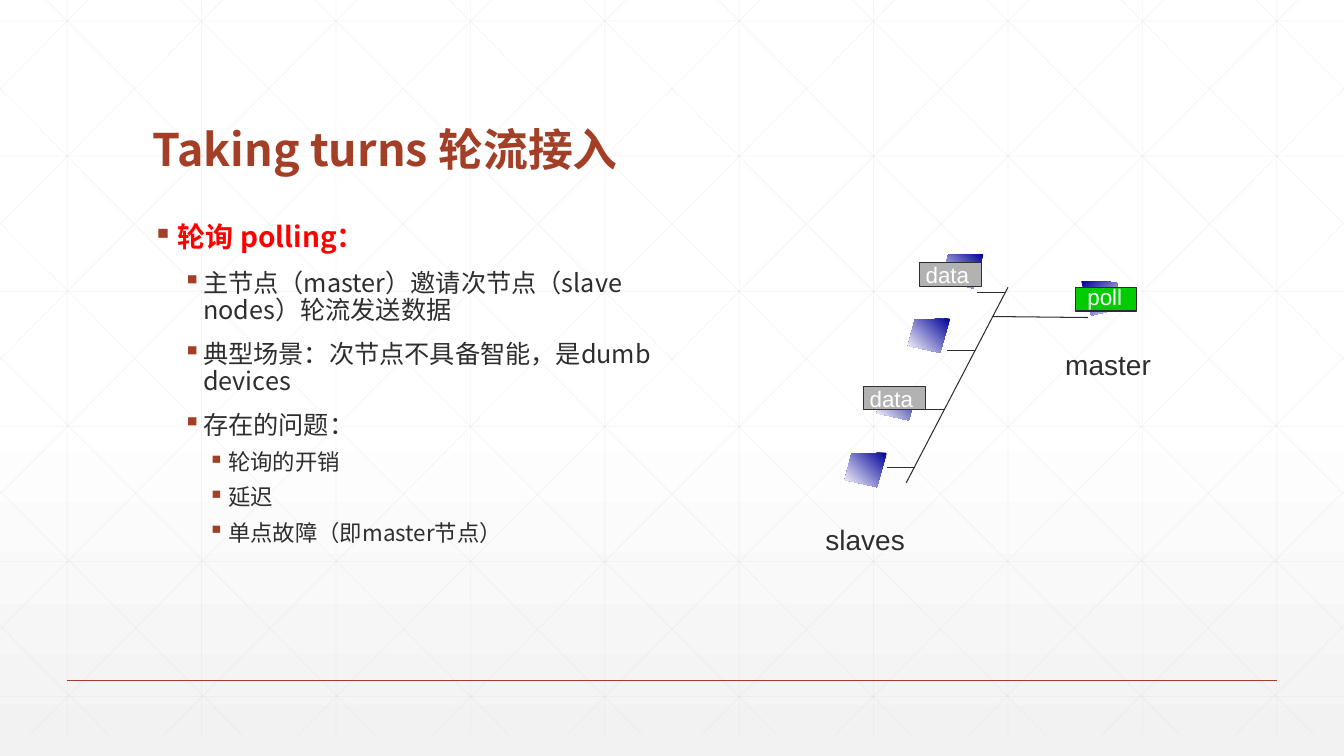
from dataclasses import dataclass

from lxml import etree
from pptx import Presentation
from pptx import util as u
from pptx.dml.color import RGBColor
from pptx.enum import shapes, text
from pptx.oxml import ns


@dataclass(frozen=True)
class Theme:
    accent: str = "A43F27"
    ink: str = "2D2E2D"
    alert: str = "FF0000"
    white: str = "FFFFFF"
    shade: str = "F2F2F2"
    grid: str = "D9D9D9"
    node: str = "000099"
    poll: str = "00CC00"
    data: str = "B2B2B2"
    heading_font: str = "Noto Sans CJK SC"
    label_font: str = "Arial"
    title_size: int = 32
    label_size: int = 20
    tag_size: int = 16
    # Per outline level: size, left margin, hanging indent, space before
    levels: tuple = ((20, 18, 18, 18), (18, 36, 14.4, 12), (16, 54, 14.4, 8))


def add_xml(parent, tag, **attributes):
    return etree.SubElement(parent, ns.qn(tag), attributes)


class SlideBuilder:
    def __init__(self, slide, theme):
        self.slide = slide
        self.theme = theme

    def gradient(self, fill, angle, *stops):
        fill.gradient()
        fill.gradient_angle = angle
        for stop, (position, color) in zip(fill.gradient_stops, stops):
            stop.position = position
            stop.color.rgb = RGBColor.from_string(color)

    def line(self, start, end, color, width=0.75, alpha=None):
        connector = self.slide.shapes.add_connector(
            shapes.MSO_CONNECTOR.STRAIGHT, *(u.Pt(value) for value in (*start, *end)))
        connector.line.width = u.Pt(width)
        connector.line.color.rgb = RGBColor.from_string(color)
        properties = connector._element.spPr
        if alpha:
            add_xml(next(properties.iter(ns.qn("a:srgbClr"))), "a:alpha", val=str(alpha * 1000))
        add_xml(properties, "a:effectLst")

    def text_box(self, left, top, width, height, wrap=True, anchor=text.MSO_ANCHOR.TOP):
        box = self.slide.shapes.add_textbox(*(u.Pt(value) for value in (left, top, width, height)))
        frame = box.text_frame
        frame.word_wrap = wrap
        frame.vertical_anchor = anchor
        return frame

    def run(self, paragraph, words, size, color, font, bold=False):
        run = paragraph.add_run()
        run.text = words
        run.font.size = u.Pt(size)
        run.font.bold = bold
        run.font.color.rgb = RGBColor.from_string(color)
        run.font.name = font
        add_xml(run._r.get_or_add_rPr(), "a:ea", typeface=font)

    def title(self, words, *place):
        frame = self.text_box(*place, anchor=text.MSO_ANCHOR.BOTTOM)
        paragraph = frame.paragraphs[0]
        paragraph.line_spacing = 0.9
        self.run(paragraph, words, self.theme.title_size, self.theme.accent,
                 self.theme.heading_font, True)

    def outline(self, items, *place):
        frame = self.text_box(*place)
        for index, (level, words) in enumerate(items):
            size, margin, hanging, before = self.theme.levels[level]
            paragraph = frame.add_paragraph() if index else frame.paragraphs[0]
            paragraph.level = level
            paragraph.line_spacing = 0.9
            paragraph.space_before = u.Pt(before if index else 0)
            properties = paragraph._p.get_or_add_pPr()
            properties.set("marL", str(u.Pt(margin)))
            properties.set("indent", str(-u.Pt(hanging)))
            add_xml(add_xml(properties, "a:buClr"), "a:srgbClr", val=self.theme.accent)
            add_xml(properties, "a:buChar", char="▪")
            color = self.theme.ink if level else self.theme.alert
            self.run(paragraph, words, size, color, self.theme.heading_font, level == 0)

    def label(self, words, size, color, *place):
        frame = self.text_box(*place, wrap=False)
        self.run(frame.paragraphs[0], words, size, color, self.theme.label_font)

    def node(self, left, top, mirrored=False):
        outline = [(30, 0), (4.8, 0.7), (0, 19.4), (23, 24.5)]
        points = [(u.Pt(left + (30 - x if mirrored else x)), u.Pt(top + y)) for x, y in outline]
        builder = self.slide.shapes.build_freeform(*points[0])
        builder.add_line_segments(points[1:], close=True)
        shape = builder.convert_to_shape()
        shape.shadow.inherit = False
        shape.line.fill.background()
        self.gradient(shape.fill, 315 if mirrored else 225,
                      (0, self.theme.node), (1, self.theme.white))

    def tag(self, words, color, left, top, shift_x, shift_y, text_width):
        shape = self.slide.shapes.add_shape(
            shapes.MSO_SHAPE.RECTANGLE, u.Pt(left), u.Pt(top), u.Pt(44), u.Pt(17))
        shape.shadow.inherit = False
        shape.fill.solid()
        shape.fill.fore_color.rgb = RGBColor.from_string(color)
        shape.line.color.rgb = RGBColor.from_string(self.theme.ink)
        shape.line.width = u.Pt(0.75)
        self.label(words, self.theme.tag_size, self.theme.white,
                   left + shift_x, top + shift_y, text_width, 26.6)

    def background(self, width):
        self.gradient(self.slide.background.fill, 270,
                      (0.53, self.theme.white), (1, self.theme.shade))
        top, bottom, run_length = -15, 525, 537
        slope = (bottom - top) / run_length
        segments = [((48 + 96 * i, top), (48 + 96 * i, bottom)) for i in range(10)]
        segments += [((0, 15 + 96.5 * i), (width, 15 + 96.5 * i)) for i in range(6)]
        # Diagonals stop at the slide's sides
        diagonals = []
        for i in range(10):
            x = 18 + 96 * i
            reach = min(run_length, width - x)
            diagonals.append(((x, top), (x + reach, top + reach * slope)))
        for i in range(5):
            x = 459 - 95.3 * i
            diagonals.append(((x, bottom), (0, bottom - x * slope)))
        mirrored = [((width - x1, y1), (width - x2, y2)) for (x1, y1), (x2, y2) in diagonals]
        for start, end in segments + diagonals + mirrored:
            self.line(start, end, self.theme.grid, 0.5, alpha=25)
        self.line((48, 486), (912, 486), self.theme.accent, 1)


def main():
    presentation = Presentation()
    presentation.slide_width, presentation.slide_height = u.Pt(960), u.Pt(540)
    theme = Theme()
    builder = SlideBuilder(presentation.slides.add_slide(presentation.slide_layouts[6]), theme)
    builder.background(960)

    # Title and outline
    builder.title("Taking turns 轮流接入", 102, 39.6, 756, 90)
    builder.outline([
        (0, "轮询 polling："),
        (1, "主节点（master）邀请次节点（slave nodes）轮流发送数据"),
        (1, "典型场景：次节点不具备智能，是dumb devices"),
        (1, "存在的问题："),
        (2, "轮询的开销"),
        (2, "延迟"),
        (2, "单点故障（即master节点）"),
    ], 102, 156, 378, 300)

    # Slave and master nodes
    for left, top in ((603.4, 323.4), (626.2, 275.8), (648.6, 227.6), (672.4, 181.5)):
        builder.node(left, top)
    builder.node(772.5, 200.9, mirrored=True)

    # Shared bus and its taps
    builder.line((720, 205.2), (647.3, 344.9), theme.ink)
    builder.line((709.2, 226.1), (777, 226.8), theme.ink)
    for i in range(4):
        x, y = 697.7 - 21.4 * i, 208.8 + 41.8 * i
        builder.line((x, y), (x + 20.2, y), theme.ink)

    # Labels and messages
    builder.label("master", theme.label_size, theme.ink, 753.8, 244.8, 75.6, 31)
    builder.label("slaves", theme.label_size, theme.ink, 582.5, 369.4, 71.3, 31)
    builder.tag("poll", theme.poll, 768.2, 205.2, 1.4, -6.5, 39.6)
    for left, top in ((617, 275.8), (657, 187.6)):
        builder.tag("data", theme.data, left, top, -2.9, -4.3, 45.4)

    presentation.save("out.pptx")


if __name__ == "__main__":
    main()
